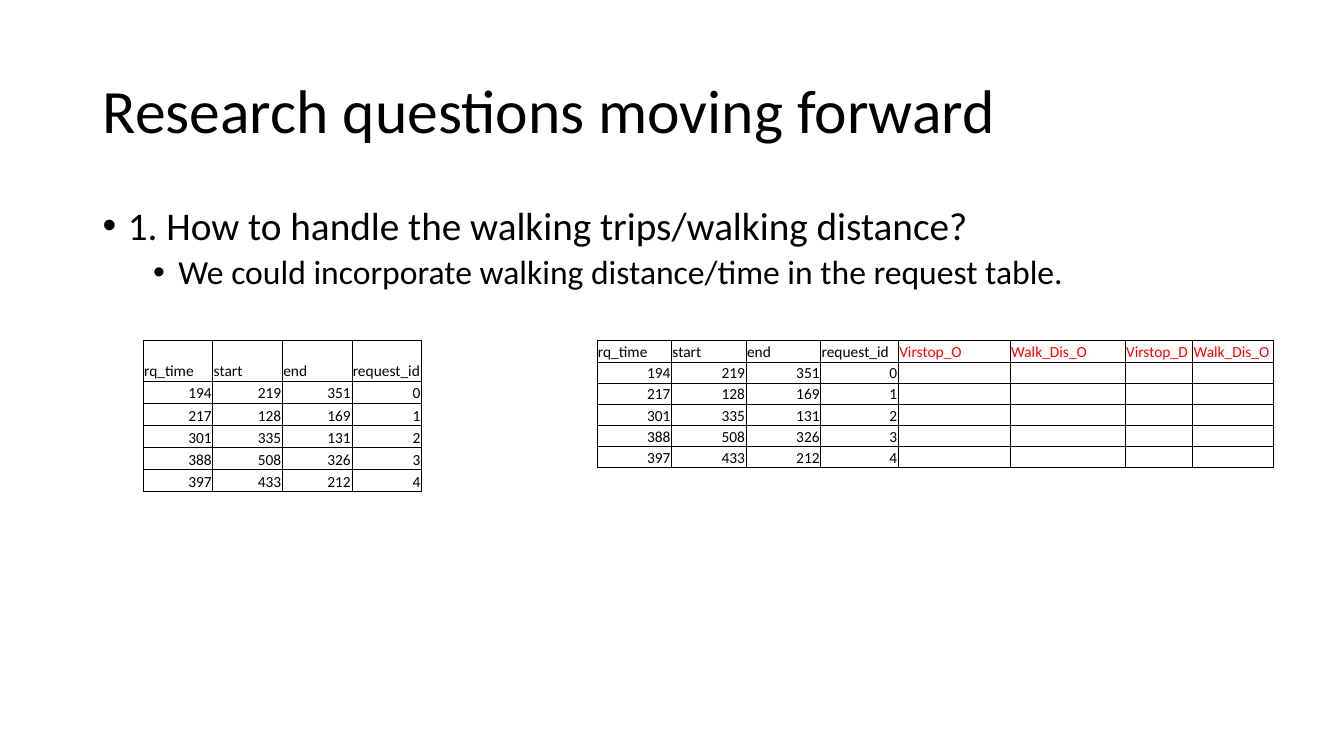
"""Build the slide on research questions about walking trips."""
from lxml.etree import SubElement
from pptx import Presentation
from pptx.dml.color import RGBColor
from pptx.enum.text import MSO_ANCHOR, PP_ALIGN
from pptx.oxml.ns import qn
from pptx.util import Inches, Pt

FONT = "Calibri"
COLORS = {"text": "000000", "added": "FF0000"}
TITLE = "Research questions moving forward"
BULLETS = [
    {"text": "1. How to handle the walking trips/walking distance?",
     "size": 28, "indent": 0.25, "before": 10},
    {"text": "We could incorporate walking distance/time in the request table.",
     "size": 24, "indent": 0.75, "before": 5},
]
REQUEST_FIELDS = ["rq_time", "start", "end", "request_id"]
WALKING_FIELDS = ["Virstop_O", "Walk_Dis_O", "Virstop_D", "Walk_Dis_O"]
REQUESTS = [
    (194, 219, 351, 0),
    (217, 128, 169, 1),
    (301, 335, 131, 2),
    (388, 508, 326, 3),
    (397, 433, 212, 4),
]
TABLES = [
    {"left": 1.42, "widths": [0.69] * 4, "header": 0.4, "row": 0.22, "added": []},
    {"left": 5.92, "widths": [0.74, 0.74, 0.74, 0.77, 1.11, 1.14, 0.67, 0.8],
     "header": 0.21, "row": 0.21, "added": WALKING_FIELDS},
]
TABLE_TOP = 3.38
CELL_SIZE = 11
BORDER_WIDTH = 0.5


def style(run, size, color="text"):
    run.font.name = FONT
    run.font.size = Pt(size)
    run.font.color.rgb = RGBColor.from_string(COLORS[color])


def add_text_area(slide, left, top, width, height, anchor):
    box = slide.shapes.add_textbox(*map(Inches, (left, top, width, height)))
    frame = box.text_frame
    frame.word_wrap = True
    frame.vertical_anchor = anchor
    return frame


def add_title(slide):
    frame = add_text_area(slide, 0.92, 0.4, 11.5, 1.45, MSO_ANCHOR.MIDDLE)
    frame.text = TITLE
    heading = frame.paragraphs[0]
    heading.line_spacing = 0.9
    style(heading.runs[0], 44)


def add_bullets(slide):
    frame = add_text_area(slide, 0.92, 2, 11.5, 4.76, MSO_ANCHOR.TOP)
    frame.text = "\n".join(bullet["text"] for bullet in BULLETS)
    for level, (line, bullet) in enumerate(zip(frame.paragraphs, BULLETS)):
        line.level = level
        line.line_spacing = 0.9
        line.space_before = Pt(bullet["before"])
        style(line.runs[0], bullet["size"])
        properties = line._p.get_or_add_pPr()
        properties.set("marL", str(Inches(bullet["indent"])))
        properties.set("indent", str(-Inches(0.25)))
        SubElement(properties, qn("a:buFont"), typeface="Arial")
        SubElement(properties, qn("a:buChar"), char="•")


def add_borders(cell):
    properties = cell._tc.get_or_add_tcPr()
    for side in ("a:lnL", "a:lnR", "a:lnT", "a:lnB"):
        border = SubElement(properties, qn(side), w=str(Pt(BORDER_WIDTH)))
        fill = SubElement(border, qn("a:solidFill"))
        SubElement(fill, qn("a:srgbClr"), val=COLORS["text"])


def fill_cell(cell, value, align, color):
    cell.margin_left = cell.margin_right = cell.margin_top = Inches(0.01)
    cell.margin_bottom = 0
    cell.vertical_anchor = MSO_ANCHOR.BOTTOM
    add_borders(cell)
    cell.fill.background()
    cell.text_frame.text = str(value)
    entry = cell.text_frame.paragraphs[0]
    entry.alignment = align
    for run in entry.runs:
        style(run, CELL_SIZE, color)
    if not entry.runs:
        SubElement(entry._p, qn("a:endParaRPr"), sz=str(CELL_SIZE * 100))


def add_request_table(slide, layout):
    added = layout["added"]
    rows = [REQUEST_FIELDS + added]
    rows += [list(request) + [""] * len(added) for request in REQUESTS]
    heights = [layout["header"]] + [layout["row"]] * len(REQUESTS)
    widths = layout["widths"]
    table = slide.shapes.add_table(
        len(rows), len(widths), Inches(layout["left"]), Inches(TABLE_TOP),
        Inches(sum(widths)), Inches(sum(heights))).table
    table.first_row = table.horz_banding = False
    for column, width in zip(table.columns, widths):
        column.width = Inches(width)
    for r, (values, height) in enumerate(zip(rows, heights)):
        table.rows[r].height = Inches(height)
        align = PP_ALIGN.RIGHT if r else PP_ALIGN.LEFT
        for c, value in enumerate(values):
            color = "text" if c < len(REQUEST_FIELDS) else "added"
            fill_cell(table.cell(r, c), value, align, color)


def main():
    deck = Presentation()
    deck.slide_width, deck.slide_height = Inches(13.33), Inches(7.5)
    slide = deck.slides.add_slide(deck.slide_layouts[6])
    add_title(slide)
    add_bullets(slide)
    for layout in TABLES:
        add_request_table(slide, layout)
    deck.save("out.pptx")


if __name__ == "__main__":
    main()
